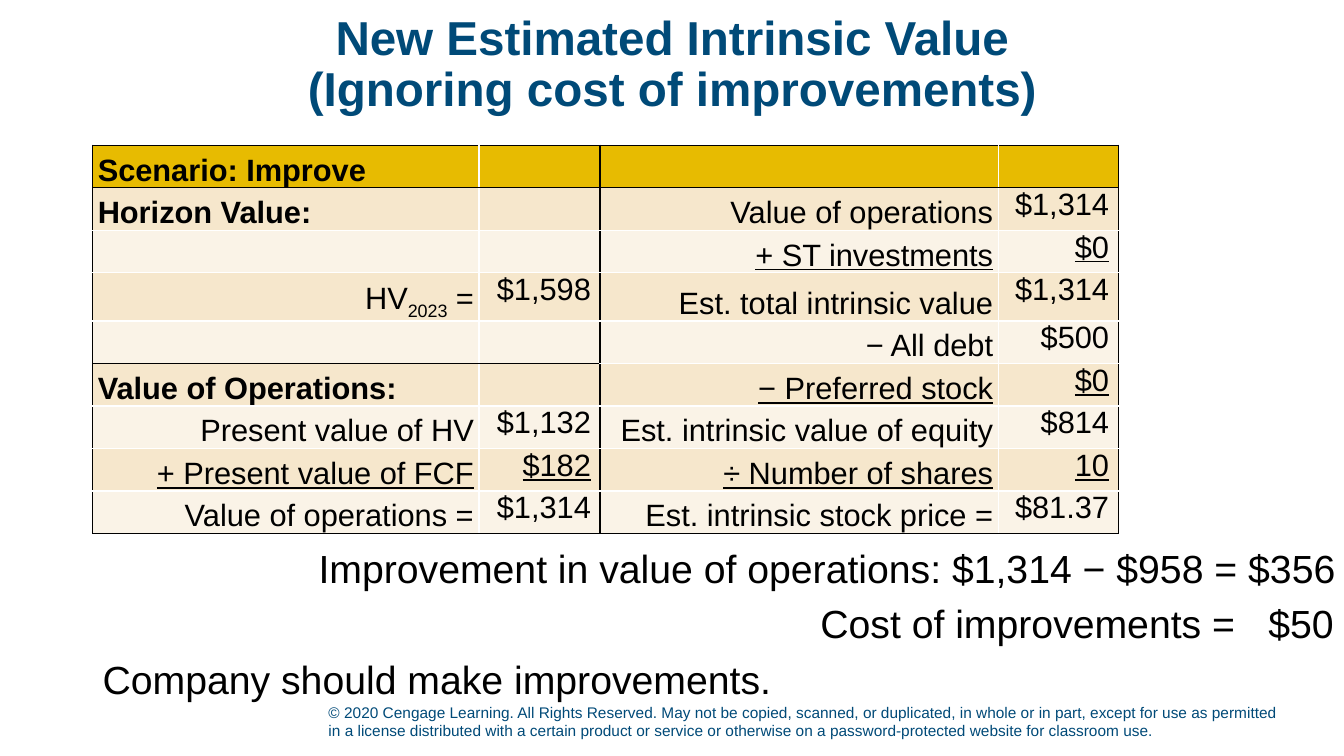
from dataclasses import dataclass
from typing import Optional

from lxml.etree import SubElement
from pptx import Presentation
from pptx.dml.color import RGBColor
from pptx.enum.text import MSO_ANCHOR, PP_ALIGN
from pptx.oxml.ns import qn
from pptx.util import Emu, Pt

PX = 9144
FONT = "Arial"
NAVY = RGBColor(0x00, 0x4A, 0x78)
BLACK = RGBColor(0, 0, 0)
WHITE = RGBColor(0xFF, 0xFF, 0xFF)
GOLD = RGBColor(0xE7, 0xBB, 0x01)
SAND = RGBColor(0xF6, 0xE7, 0xCC)
CREAM = RGBColor(0xFA, 0xF3, 0xE7)

COL_WIDTHS = (383, 120, 395, 119)
ROW_HEIGHT = 41
BOX_TOP_ROWS = {0: (0, 1, 5), 1: (0, 1, 5), 2: (0, 1), 3: (0, 1)}


@dataclass(frozen=True)
class TextBlock:
    left: int
    top: int
    width: int
    height: int
    lines: tuple[str, ...]
    size: int
    color: RGBColor
    bold: bool = False
    align: PP_ALIGN = PP_ALIGN.LEFT
    anchor: MSO_ANCHOR = MSO_ANCHOR.TOP
    line_spacing: Optional[float] = None


@dataclass(frozen=True)
class Entry:
    text: str
    bold: bool = False
    underline: bool = False


def head(text: str) -> Entry:
    return Entry(text, bold=True)


def last(text: str) -> Entry:
    return Entry(text, underline=True)


BLANK = Entry("")
ROWS = (
    (head("Scenario: Improve"), BLANK, BLANK, BLANK),
    (head("Horizon Value:"), BLANK, Entry("Value of operations"), Entry("$1,314")),
    (BLANK, BLANK, last("+ ST investments"), last("$0")),
    (Entry("HV|2023| ="), Entry("$1,598"), Entry("Est. total intrinsic value"), Entry("$1,314")),
    (BLANK, BLANK, Entry("− All debt"), Entry("$500")),
    (head("Value of Operations:"), BLANK, last("− Preferred stock"), last("$0")),
    (Entry("Present value of HV"), Entry("$1,132"), Entry("Est. intrinsic value of equity"), Entry("$814")),
    (last("+ Present value of FCF"), last("$182"), last("÷ Number of shares"), last("10")),
    (Entry("Value of operations ="), Entry("$1,314"), Entry("Est. intrinsic stock price ="), Entry("$81.37")),
)

TITLE = TextBlock(
    92, 15, 1150, 100, ("New Estimated Intrinsic Value\v(Ignoring cost of improvements)",),
    34, NAVY, True, PP_ALIGN.CENTER, MSO_ANCHOR.MIDDLE, 0.9,
)
COPYRIGHT = TextBlock(
    316, 689, 963, 50,
    ("© 2020 Cengage Learning. All Rights Reserved. May not be copied, scanned, or duplicated, "
     "in whole or in part, except for use as permitted in a license distributed with a certain "
     "product or service or otherwise on a password-protected website for classroom use.",),
    11, NAVY, anchor=MSO_ANCHOR.BOTTOM,
)
CONCLUSION = TextBlock(
    92, 535, 1242, 131,
    ("Improvement in value of operations: $1,314 − $958 = $356",
     "\tCost of improvements =\t$50",
     "Company should make improvements."),
    28, BLACK,
)


def add_text(s, block: TextBlock):
    box = (block.left, block.top, block.width, block.height)
    tf = s.shapes.add_textbox(*(Emu(v * PX) for v in box)).text_frame
    tf.word_wrap = True
    tf.vertical_anchor = block.anchor
    tf.text = "\n".join(block.lines)
    for i, p in enumerate(tf.paragraphs):
        p.alignment = block.align
        p.line_spacing = block.line_spacing
        if i:
            p.space_before = Pt(6)
        for r in p.runs:
            r.font.name = FONT
            r.font.size = Pt(block.size)
            r.font.bold = block.bold
            r.font.color.rgb = block.color
    return tf


def add_right_tabs(p, *stops: int) -> None:
    tabs = SubElement(p._p.get_or_add_pPr(), qn("a:tabLst"))
    for stop in stops:
        SubElement(tabs, qn("a:tab"), pos=str(stop * PX), algn="r")


def add_borders(cell, row: int, col: int) -> None:
    final = len(ROWS) - 1
    tops = BOX_TOP_ROWS[col]
    black = {
        "L": col in (0, 2),
        "R": col in (1, 3),
        "T": row in tops,
        "B": row == final or row + 1 in tops,
    }
    for side, is_black in black.items():
        ln = SubElement(cell._tc.get_or_add_tcPr(), qn(f"a:ln{side}"), w=str(Pt(1)))
        fill = SubElement(ln, qn("a:solidFill"))
        SubElement(fill, qn("a:srgbClr"), val=str(BLACK if is_black else WHITE))


def fill_cell(cell, entry: Entry, row: int, col: int) -> None:
    is_value = col in (1, 3)
    add_borders(cell, row, col)
    cell.fill.solid()
    cell.fill.fore_color.rgb = GOLD if row == 0 else SAND if row % 2 else CREAM
    cell.margin_left = cell.margin_right = Emu((9 if is_value else 5) * PX)
    cell.margin_top = cell.margin_bottom = 0
    cell.vertical_anchor = MSO_ANCHOR.TOP if is_value else MSO_ANCHOR.BOTTOM
    p = cell.text_frame.paragraphs[0]
    p.font.size = Pt(22)
    if not entry.text:
        return
    p.alignment = PP_ALIGN.LEFT if entry.bold else PP_ALIGN.RIGHT
    if not is_value:
        p.line_spacing = 1.15
    for i, part in enumerate(entry.text.split("|")):
        r = p.add_run()
        r.text = part
        r.font.name = FONT
        r.font.size = Pt(22)
        r.font.bold = entry.bold
        r.font.underline = entry.underline
        r.font.color.rgb = BLACK
        if i % 2:
            r._r.get_or_add_rPr().set("baseline", "-25000")


def add_valuation_table(s) -> None:
    box = (92, 144, sum(COL_WIDTHS), ROW_HEIGHT * len(ROWS))
    table = s.shapes.add_table(len(ROWS), len(COL_WIDTHS), *(Emu(v * PX) for v in box)).table
    table.first_row = table.horz_banding = False
    for column, width in zip(table.columns, COL_WIDTHS):
        column.width = Emu(width * PX)
    for row, entries in enumerate(ROWS):
        table.rows[row].height = Emu(ROW_HEIGHT * PX)
        for col, entry in enumerate(entries):
            fill_cell(table.cell(row, col), entry, row, col)


def main() -> None:
    prs = Presentation()
    prs.slide_width = Emu(1333 * PX)
    prs.slide_height = Emu(750 * PX)
    s = prs.slides.add_slide(prs.slide_layouts[6])
    add_text(s, COPYRIGHT)
    add_text(s, TITLE)
    add_valuation_table(s)
    improvement, cost, _ = add_text(s, CONCLUSION).paragraphs
    improvement.alignment = PP_ALIGN.RIGHT
    add_right_tabs(cost, 1123, 1221)
    prs.save("out.pptx")


if __name__ == "__main__":
    main()
